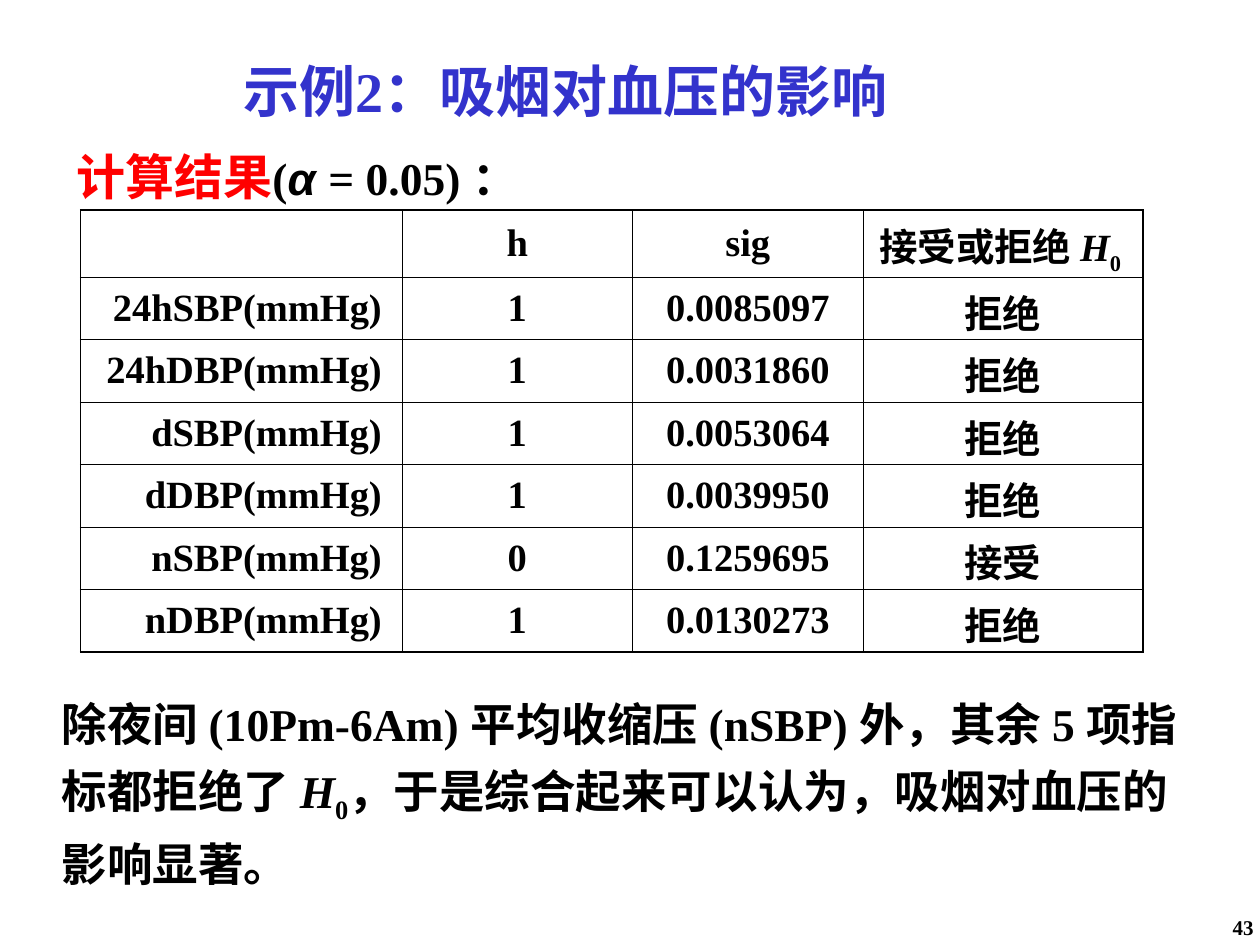
from copy import deepcopy
from dataclasses import dataclass

from lxml.etree import SubElement
from pptx import Presentation
from pptx.dml.color import RGBColor
from pptx.enum.text import MSO_ANCHOR, MSO_AUTO_SIZE, PP_ALIGN
from pptx.oxml.ns import qn
from pptx.util import Inches, Pt


@dataclass(frozen=True)
class Theme:
    serif: str = "Times New Roman"
    sans: str = "Arial"
    ink: str = "000000"
    heading: str = "3333CC"
    accent: str = "FF0000"
    title_size: int = 32
    label_size: int = 28
    text_size: int = 26
    table_size: int = 22
    number_size: int = 12
    thin: float = 0.45
    thick: float = 1.08


theme = Theme()


def write(paragraph, text, size, color=theme.ink, face=theme.serif, italic=False, sub=False, spacing=0):
    run = paragraph.add_run()
    run.text = text
    run.font.name = face
    run.font.size = Pt(size)
    run.font.bold = True
    run.font.italic = italic
    run.font.color.rgb = RGBColor.from_string(color)
    if sub:
        run.font._element.set("baseline", "-25000")
    if spacing:
        run.font._element.set("spc", str(int(spacing * 100)))
    return run


def place(shape, left, top, width, height):
    shape.left, shape.width = int(left * column), int(width * column)
    shape.top, shape.height = int(top * row), int(height * row)
    frame = shape.text_frame
    frame.word_wrap = False
    frame.auto_size = MSO_AUTO_SIZE.NONE
    frame.vertical_anchor = MSO_ANCHOR.TOP
    return frame.paragraphs[0]


deck = Presentation()
deck.slide_width, deck.slide_height = Inches(10), Inches(7.5)
column, row = deck.slide_width / 100, deck.slide_height / 100
slide = deck.slides.add_slide(deck.slide_layouts[5])

heading = place(slide.shapes.title, 18.3, 5.33, 61.1, 8.4)
heading.alignment = PP_ALIGN.LEFT
heading.space_before = Pt(20)
write(heading, "示例2：吸烟对血压的影响", theme.title_size, theme.heading)

significance = place(slide.shapes.add_textbox(0, 0, 0, 0), 5.1, 13.6, 21.1, 9.07)
significance.line_spacing = 1.2
significance.space_after = Pt(3.3)
write(significance, "计算结果", theme.label_size, theme.accent)
write(significance, "(", theme.text_size)
write(significance, "α ", theme.text_size, face=theme.sans, italic=True)
write(significance, "= 0.05) ：", theme.text_size)

results = [
    ("", "h", "sig", "接受或拒绝"),
    ("24hSBP(mmHg)", "1", "0.0085097", "拒绝"),
    ("24hDBP(mmHg)", "1", "0.0031860", "拒绝"),
    ("dSBP(mmHg)", "1", "0.0053064", "拒绝"),
    ("dDBP(mmHg)", "1", "0.0039950", "拒绝"),
    ("nSBP(mmHg)", "0", "0.1259695", "接受"),
    ("nDBP(mmHg)", "1", "0.0130273", "拒绝"),
]
widths = [25.5, 18.3, 18.3, 22.2]
heights = [7.07] + [6.61] * 6
last_row, last_column = len(heights) - 1, len(widths) - 1
tests = slide.shapes.add_table(
    len(heights), len(widths), int(6.4 * column), int(22.25 * row),
    int(sum(widths) * column), int(sum(heights) * row),
).table
tests.first_row = tests.horz_banding = False
for grid_column, width in zip(tests.columns, widths):
    grid_column.width = int(width * column)
for grid_row, height in zip(tests.rows, heights):
    grid_row.height = int(height * row)

for r, values in enumerate(results):
    for c, value in enumerate(values):
        cell = tests.cell(r, c)
        cell.vertical_anchor = MSO_ANCHOR.MIDDLE
        cell.margin_right = Inches(0.16 if c == 0 and r else 0.1)
        cell.margin_bottom = Inches(0 if c == last_column else 0.05)
        entry = cell.text_frame.paragraphs[0]
        entry.alignment = PP_ALIGN.CENTER if c else PP_ALIGN.RIGHT
        entry.space_before = Pt(5.5)
        if value:
            write(entry, value, theme.table_size)
        if r == 0 and c == last_column:
            write(entry, " ", theme.table_size, spacing=-4.5)
            write(entry, "H", theme.table_size, italic=True)
            write(entry, "0 ", theme.table_size, sub=True)
        outer_edges = {"lnL": c == 0, "lnR": c == last_column, "lnT": r == 0, "lnB": r == last_row}
        properties = cell._tc.get_or_add_tcPr()
        for edge, outer in outer_edges.items():
            weight = theme.thick if outer else theme.thin
            border = SubElement(properties, qn(f"a:{edge}"), w=str(Pt(weight)))
            SubElement(SubElement(border, qn("a:solidFill")), qn("a:srgbClr"), val=theme.ink)
        cell.fill.background()

conclusion = place(slide.shapes.add_textbox(0, 0, 0, 0), 3.9, 71.8, 91.2, 21.07)
conclusion.line_spacing = 1.2
conclusion.space_after = Pt(3.3)
write(conclusion, "除夜间 (10Pm-6Am) 平均收缩压 (nSBP) 外，其余", theme.text_size)
write(conclusion, " ", theme.text_size, spacing=-2.8)
write(conclusion, "5", theme.text_size)
write(conclusion, " ", theme.text_size, spacing=-2.8)
body_run = write(conclusion, "项指 ", theme.text_size)
conclusion.add_line_break()
write(conclusion, "标都拒绝了", theme.text_size)
write(conclusion, " ", theme.text_size, spacing=-2.8)
write(conclusion, "H", theme.text_size, italic=True)
write(conclusion, "0", theme.text_size, sub=True)
write(conclusion, "，于是综合起来可以认为，吸烟对血压的 ", theme.text_size)
conclusion.add_line_break()
write(conclusion, "影响显著。", theme.text_size)
for line_break in conclusion._p.findall(qn("a:br")):
    line_break.append(deepcopy(body_run.font._element))

number_box = slide.shapes.add_textbox(0, 0, 0, 0)
page_number = place(number_box, 96, 96.67, 3.7, 2.93)
number_box.text_frame.margin_left = number_box.text_frame.margin_right = Inches(0.02)
number_box.text_frame.margin_top = number_box.text_frame.margin_bottom = Inches(0.01)
page_number.alignment = PP_ALIGN.RIGHT
write(page_number, "43", theme.number_size)

deck.save("out.pptx")
